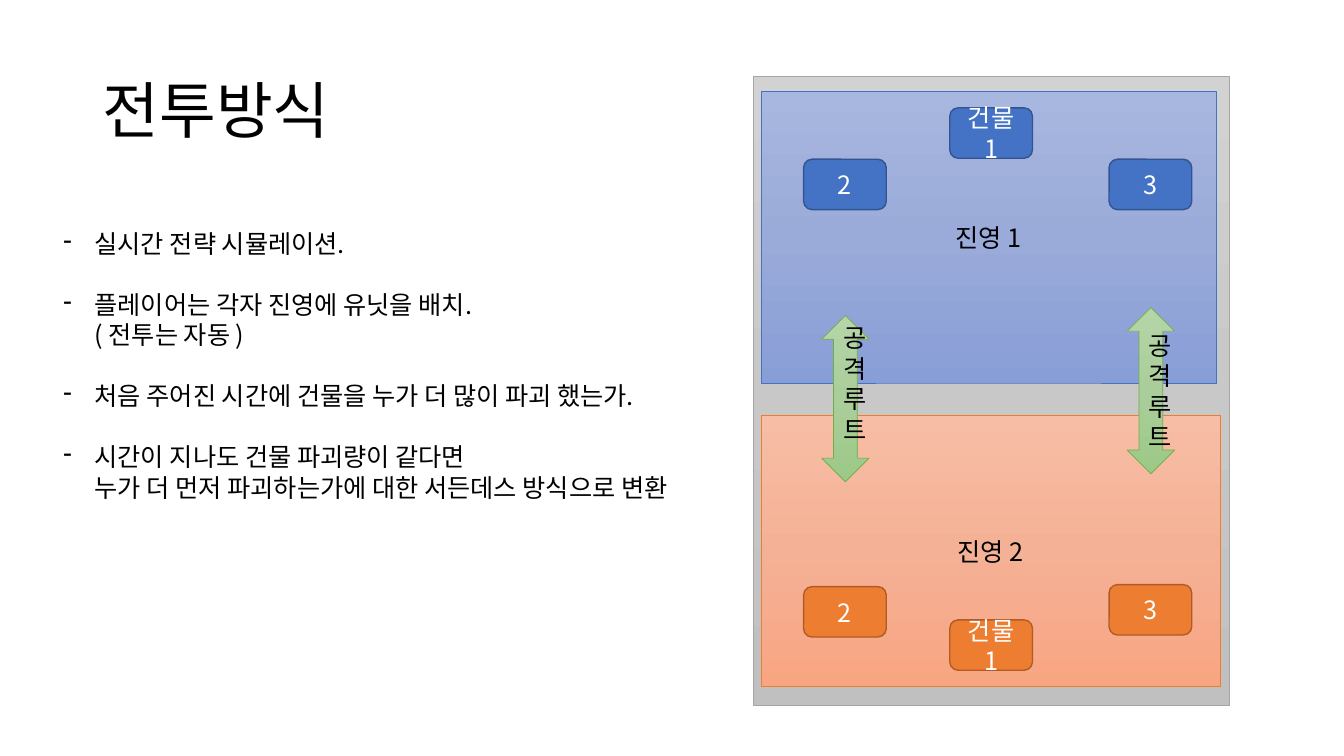
"""Build the battle-mode slide: rules on the left, a two-camp battlefield map on the right."""
import pptx
import pptx.dml.color
import pptx.enum.shapes
import pptx.enum.text
import pptx.oxml
import pptx.oxml.ns
import pptx.util

Inches = pptx.util.Inches
Pt = pptx.util.Pt
Shape = pptx.enum.shapes.MSO_SHAPE
Align = pptx.enum.text.PP_ALIGN
Anchor = pptx.enum.text.MSO_ANCHOR
FONT = "Noto Sans CJK KR"


def set_color(target, color):
    """Give a fill or font colour format a hex colour."""
    target.rgb = pptx.dml.color.RGBColor.from_string(color)


def style_text(paragraph, size, color):
    """Set font, size and colour on every run of a paragraph."""
    for span in paragraph.runs:
        span.font.name = FONT
        span.font.size = Pt(size)
        set_color(span.font.color, color)
        east_asian = pptx.oxml.parse_xml(
            f'<a:ea {pptx.oxml.ns.nsdecls("a")} typeface="{FONT}"/>')
        span.font._element.find(pptx.oxml.ns.qn("a:latin")).addnext(east_asian)


deck = pptx.Presentation()
deck.slide_width = Inches(13.33)
deck.slide_height = Inches(7.5)
page = deck.slides.add_slide(deck.slide_layouts[5])

title = page.shapes.title
title.left, title.top = Inches(0.92), Inches(0.4)
title.width, title.height = Inches(11.5), Inches(1.45)
title.text_frame.text = "전투방식"
title.text_frame.vertical_anchor = Anchor.MIDDLE
heading = title.text_frame.paragraphs[0]
heading.alignment = Align.LEFT
heading.line_spacing = 0.9
style_text(heading, 44, "000000")

GRAY = (["D2D2D2", "C8C8C8", "C0C0C0"], "A5A5A5", 0.5, "000000")
BLUE_CAMP = (["A8B7DF", "9AABD9", "889ED7"], "4472C4", 0.5, "000000")
ORANGE_CAMP = (["F7BDA5", "F5B196", "F8A582"], "ED7D31", 0.5, "000000")
GREEN = (["B5D5A7", "AACE9A", "9CC987"], "70AD47", 0.5, "000000")
BLUE_BUILDING = (["4472C4"], "325491", 1, "FFFFFF")
ORANGE_BUILDING = (["ED7D31"], "AF5C24", 1, "FFFFFF")
BUILDING = (0.82, 0.5)
ROUTE = (0.47, 1.65)
LEFT, CENTER, RIGHT = 7.97, 9.42, 11

battlefield = [
    (Shape.RECTANGLE, 7.47, 0.76, (4.72, 6.24), "", GRAY),
    (Shape.RECTANGLE, 7.55, 0.91, (4.51, 2.89), "진영 1", BLUE_CAMP),
    (Shape.RECTANGLE, 7.55, 4.12, (4.55, 2.69), "진영 2", ORANGE_CAMP),
    (Shape.UP_DOWN_ARROW, 8.15, 3.13, ROUTE, "공격루트 ", GREEN),
    (Shape.UP_DOWN_ARROW, 11.18, 3.05, ROUTE, "공격루트", GREEN),
    (Shape.ROUNDED_RECTANGLE, CENTER, 1.07, BUILDING, "건물1", BLUE_BUILDING),
    (Shape.ROUNDED_RECTANGLE, LEFT, 1.58, BUILDING, "2", BLUE_BUILDING),
    (Shape.ROUNDED_RECTANGLE, RIGHT, 1.58, BUILDING, "3", BLUE_BUILDING),
    (Shape.ROUNDED_RECTANGLE, LEFT, 5.82, BUILDING, "2", ORANGE_BUILDING),
    (Shape.ROUNDED_RECTANGLE, CENTER, 6.15, BUILDING, "건물1", ORANGE_BUILDING),
    (Shape.ROUNDED_RECTANGLE, RIGHT, 5.8, BUILDING, "3", ORANGE_BUILDING),
]
for kind, left, top, (width, height), label, style in battlefield:
    fills, outline, weight, ink = style
    shape = page.shapes.add_shape(
        kind, Inches(left), Inches(top), Inches(width), Inches(height))
    shape.shadow.inherit = False
    if len(fills) == 1:
        shape.fill.solid()
        set_color(shape.fill.fore_color, fills[0])
    else:
        shape.fill.gradient()
        shape.fill.gradient_angle = 270
        first, last = shape.fill.gradient_stops
        set_color(first.color, fills[0])
        set_color(last.color, fills[2])
        first.position, last.position = 0, 1
        first._gs.addnext(pptx.oxml.parse_xml(
            f'<a:gs {pptx.oxml.ns.nsdecls("a")} pos="50000">'
            f'<a:srgbClr val="{fills[1]}"/></a:gs>'))
    set_color(shape.line.color, outline)
    shape.line.width = Pt(weight)
    if label:
        shape.text_frame.text = label
        shape.text_frame.vertical_anchor = Anchor.MIDDLE
        paragraph = shape.text_frame.paragraphs[0]
        paragraph.alignment = Align.CENTER
        paragraph.line_spacing = Pt(21.8)
        style_text(paragraph, 18, ink)

rules = [
    "실시간 전략 시뮬레이션.",
    "플레이어는 각자 진영에 유닛을 배치.\n( 전투는 자동 )",
    "처음 주어진 시간에 건물을 누가 더 많이 파괴 했는가.",
    "시간이 지나도 건물 파괴량이 같다면\n누가 더 먼저 파괴하는가에 대한 서든데스 방식으로 변환",
]
rules_box = page.shapes.add_textbox(Inches(0.53), Inches(2.21), Inches(6.95), Inches(2.83))
rules_box.text_frame.word_wrap = True
for index, rule in enumerate(rules):
    if index:
        paragraph = rules_box.text_frame.add_paragraph()
        paragraph.space_before = Pt(21.8)
    else:
        paragraph = rules_box.text_frame.paragraphs[0]
    paragraph.text = rule
    paragraph.line_spacing = Pt(21.8)
    style_text(paragraph, 18, "000000")
    properties = paragraph._p.get_or_add_pPr()
    properties.set("marL", str(Inches(0.31)))
    properties.set("indent", str(Inches(-0.31)))
    properties.append(pptx.oxml.parse_xml(
        f'<a:buChar {pptx.oxml.ns.nsdecls("a")} char="-"/>'))

deck.save("out.pptx")
